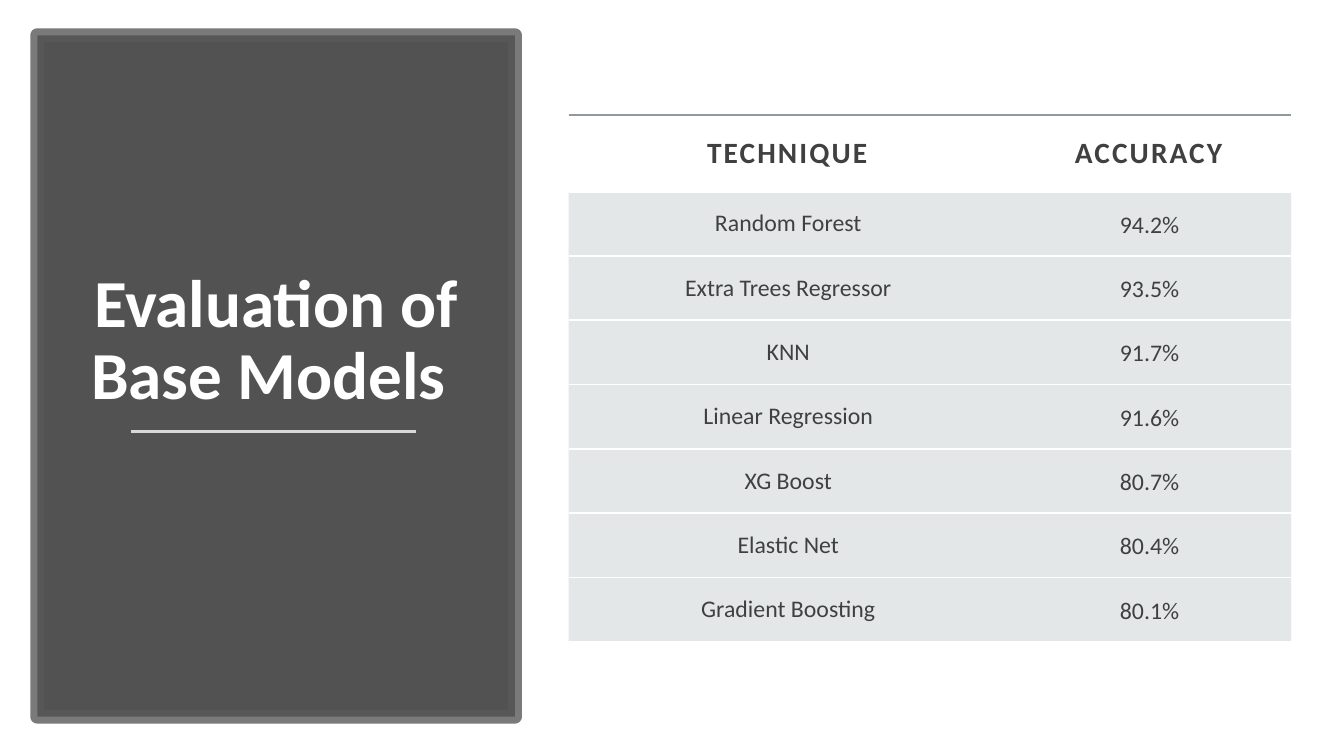
from lxml import etree
from pptx import Presentation
from pptx.dml.color import RGBColor
from pptx.enum.shapes import MSO_CONNECTOR, MSO_SHAPE
from pptx.enum.text import MSO_ANCHOR, PP_ALIGN
from pptx.oxml.ns import qn
from pptx.util import Cm, Pt

RECTANGLE = MSO_SHAPE.RECTANGLE
STRAIGHT = MSO_CONNECTOR.STRAIGHT
CENTER = PP_ALIGN.CENTER
MIDDLE, BOTTOM = MSO_ANCHOR.MIDDLE, MSO_ANCHOR.BOTTOM

FONT = "Calibri"
COLORS = {
    "white": "FFFFFF",
    "dark": "404040",
    "frame": "595959",
    "underline": "D9D9D9",
    "top_rule": "8F9A9D",
    "band": "B4BCBE",
}
HEADINGS = ("TECHNIQUE", "ACCURACY")
RESULTS = [
    ("Random Forest", "94.2%"),
    ("Extra Trees Regressor", "93.5%"),
    ("KNN", "91.7%"),
    ("Linear Regression", "91.6%"),
    ("XG Boost", "80.7%"),
    ("Elastic Net", "80.4%"),
    ("Gradient Boosting", "80.1%"),
]
COLUMN_WIDTHS = (Cm(10.72), Cm(7.49))
HEADER_HEIGHT, ROW_HEIGHT = Cm(1.93), Cm(1.62)


def rgb(name):
    return RGBColor.from_string(COLORS[name])


def set_alpha(properties, percent):
    color = next(properties.iter(qn("a:srgbClr")))
    etree.SubElement(color, qn("a:alpha")).set("val", str(percent * 1000))


def add_span(para, text, size, color, bold=False, spacing=0):
    para.alignment = CENTER
    span = para.add_run()
    span.text = text
    span.font.name = FONT
    span.font.size = Pt(size)
    span.font.bold = bold
    span.font.color.rgb = rgb(color)
    if spacing:
        span.font._element.set("spc", str(round(spacing * 100)))


def add_panel(page):
    panel = page.shapes.add_shape(RECTANGLE, Cm(0.94), Cm(0.89), Cm(12.04), Cm(17.17))
    panel.shadow.inherit = False
    panel.fill.solid()
    panel.fill.fore_color.rgb = rgb("dark")
    panel.line.color.rgb = rgb("frame")
    panel.line.width = Pt(10)
    properties = panel._element.spPr
    set_alpha(properties.find(qn("a:solidFill")), 90)
    set_alpha(properties.find(qn("a:ln")), 80)


def add_title(page, text):
    box = page.shapes.add_textbox(Cm(1.88), Cm(2.54), Cm(10.16), Cm(8.03))
    frame = box.text_frame
    frame.word_wrap = True
    frame.vertical_anchor = BOTTOM
    para = frame.paragraphs[0]
    para.line_spacing = 0.9
    add_span(para, text, 48, "white", bold=True)


def add_underline(page):
    rule = page.shapes.add_connector(STRAIGHT, Cm(3.3), Cm(10.87), Cm(10.49), Cm(10.87))
    rule.line.color.rgb = rgb("underline")
    rule.line.width = Pt(1.75)
    etree.SubElement(rule._element.spPr, qn("a:effectLst"))


def add_border(cell, side, color=None, alpha=100):
    properties = cell._tc.get_or_add_tcPr()
    border = etree.SubElement(properties, qn(f"a:ln{side}"), w=str(Pt(1.5)))
    if color is None:
        etree.SubElement(border, qn("a:noFill"))
        return
    fill = etree.SubElement(border, qn("a:solidFill"))
    etree.SubElement(fill, qn("a:srgbClr"), val=COLORS[color])
    if alpha < 100:
        set_alpha(border, alpha)


def fill_cell(cell, text, header, anchor):
    cell.vertical_anchor = anchor
    cell.margin_left = Cm(0.76)
    cell.margin_right = cell.margin_top = cell.margin_bottom = Cm(0.46 if header else 0.41)
    add_border(cell, "L")
    add_border(cell, "R")
    add_border(cell, "T", "top_rule" if header else "white", 60 if header else 100)
    add_border(cell, "B", "white")
    para = cell.text_frame.paragraphs[0]
    if header:
        cell.fill.background()
        add_span(para, text, 21, "dark", bold=True, spacing=1.5)
    else:
        cell.fill.solid()
        cell.fill.fore_color.rgb = rgb("band")
        set_alpha(cell._tc.tcPr.find(qn("a:solidFill")), 35)
        add_span(para, text, 17, "dark")


def add_results_table(page):
    rows = [HEADINGS, *RESULTS]
    height = HEADER_HEIGHT + ROW_HEIGHT * len(RESULTS)
    table = page.shapes.add_table(
        len(rows), len(HEADINGS), Cm(14.33), Cm(2.9), sum(COLUMN_WIDTHS), height
    ).table
    table.first_row = table.horz_banding = False
    for column, width in zip(table.columns, COLUMN_WIDTHS):
        column.width = width
    for row_index, values in enumerate(rows):
        header = row_index == 0
        table.rows[row_index].height = HEADER_HEIGHT if header else ROW_HEIGHT
        for column_index, text in enumerate(values):
            anchor = MIDDLE if header or column_index == 0 else BOTTOM
            fill_cell(table.cell(row_index, column_index), text, header, anchor)


def main():
    deck = Presentation()
    deck.slide_width, deck.slide_height = Cm(33.87), Cm(19.05)
    page = deck.slides.add_slide(deck.slide_layouts[6])
    add_panel(page)
    add_title(page, "Evaluation of Base Models ")
    add_underline(page)
    add_results_table(page)
    deck.save("out.pptx")


if __name__ == "__main__":
    main()
